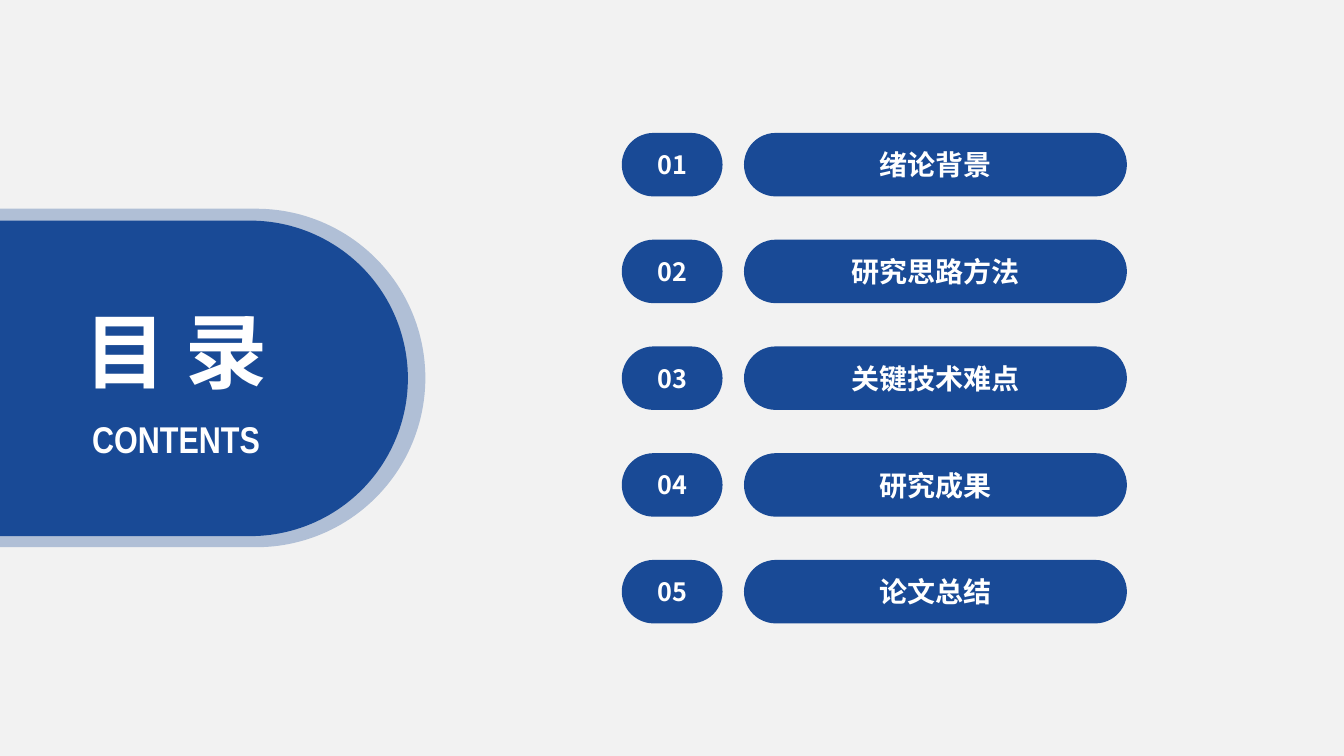
from lxml import etree
from pptx import Presentation
from pptx.dml.color import RGBColor
from pptx.enum.shapes import MSO_SHAPE
from pptx.enum.text import MSO_ANCHOR, MSO_AUTO_SIZE, PP_ALIGN
from pptx.oxml.ns import qn
from pptx.util import Cm, Pt

BLUE = RGBColor(0x19, 0x4A, 0x96)
WHITE = RGBColor(0xFF, 0xFF, 0xFF)
GREY = RGBColor(0xF2, 0xF2, 0xF2)
CJK_FONT = "Noto Sans CJK SC"

TOPICS = ["绪论背景", "研究思路方法", "关键技术难点", "研究成果", "论文总结"]
FIRST_TOP, PITCH, ROW_HEIGHT = 3.35, 2.69, 1.6


def add_pill(left, top, width, height):
    sp = s.shapes.add_shape(MSO_SHAPE.ROUNDED_RECTANGLE,
                            Cm(left), Cm(top), Cm(width), Cm(height))
    sp.adjustments[0] = 0.5
    sp.shadow.inherit = False
    sp.fill.solid()
    sp.fill.fore_color.rgb = BLUE
    sp.line.fill.background()
    return sp


def write(tf, text, size, font):
    """Put one centred, bold white line into a text frame."""
    tf.text = text
    p = tf.paragraphs[0]
    p.alignment = PP_ALIGN.CENTER
    r = p.runs[0]
    r.font.size = Pt(size)
    r.font.bold = True
    r.font.color.rgb = WHITE
    r.font.name = font
    etree.SubElement(r.font._element, qn("a:ea")).set("typeface", font)


prs = Presentation()
prs.slide_width, prs.slide_height = Cm(33.87), Cm(19.05)
s = prs.slides.add_slide(prs.slide_layouts[6])
s.background.fill.solid()
s.background.fill.fore_color.rgb = GREY

# Title panel with a translucent rim, bleeding off the left edge
rim = add_pill(-4.98, 5.26, 15.7, 8.53)
rim_color = rim.fill._xPr.find(qn("a:solidFill"))[0]
etree.SubElement(rim_color, qn("a:alpha")).set("val", "30000")
add_pill(-4.32, 5.56, 14.6, 7.95)

# Numbered topics
for i, topic in enumerate(TOPICS):
    top = FIRST_TOP + i * PITCH
    for left, width, text, size in [(15.67, 2.54, f"{i + 1:02}", 18),
                                    (18.75, 9.65, topic, 20)]:
        tf = add_pill(left, top, width, ROW_HEIGHT).text_frame
        tf.vertical_anchor = MSO_ANCHOR.MIDDLE
        write(tf, text, size, CJK_FONT)

# Panel headings
for left, top, width, height, text, size, font in [
    (1.57, 10.36, 5.74, 1.4, "CONTENTS", 26.6, "Arial Narrow"),
    (1.78, 7.44, 5.31, 2.77, "目 录", 58.6, CJK_FONT),
]:
    tf = s.shapes.add_textbox(Cm(left), Cm(top), Cm(width), Cm(height)).text_frame
    tf.word_wrap = False
    tf.auto_size = MSO_AUTO_SIZE.SHAPE_TO_FIT_TEXT
    write(tf, text, size, font)

prs.save("out.pptx")
